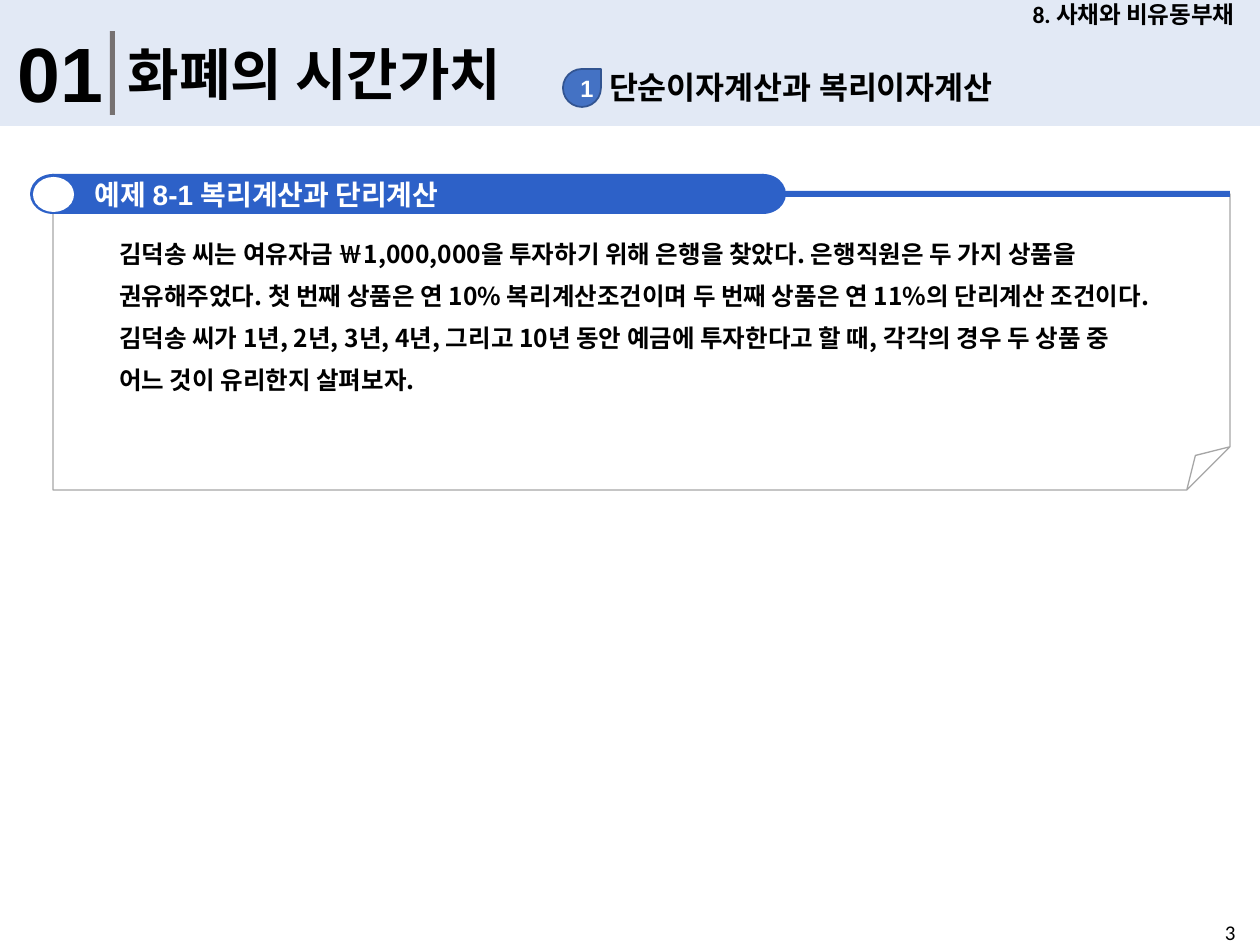
import pptx
import pptx.util
import pptx.dml.color
import pptx.enum.shapes
import pptx.enum.text
import pptx.oxml.ns
from lxml import etree

EMU_PER_PX = 914400 / 126
BLUE = "2D61C8"
KOREAN_FONT = "Noto Sans CJK KR"
SHAPES = pptx.enum.shapes.MSO_SHAPE
ANCHOR = pptx.enum.text.MSO_ANCHOR
ALIGN = pptx.enum.text.PP_ALIGN


def px(value):
    return pptx.util.Emu(round(value * EMU_PER_PX))


def color(value):
    return pptx.dml.color.RGBColor.from_string(value)


def add_box(slide, kind, box, fill=None, line=None, line_width=1, alpha=None):
    shape = slide.shapes.add_shape(kind, *map(px, box))
    shape.shadow.inherit = False
    if fill:
        shape.fill.solid()
        shape.fill.fore_color.rgb = color(fill)
    else:
        shape.fill.background()
    if line:
        shape.line.color.rgb = color(line)
        shape.line.width = pptx.util.Pt(line_width)
    else:
        shape.line.fill.background()
    if alpha:
        tag = pptx.oxml.ns.qn("a:srgbClr")
        fill_color = next(shape._element.spPr.iter(tag))
        etree.SubElement(fill_color, pptx.oxml.ns.qn("a:alpha"), val=str(alpha * 1000))
    return shape


def set_fold(shape, share):
    geometry = shape._element.spPr.find(pptx.oxml.ns.qn("a:prstGeom"))
    guides = geometry.find(pptx.oxml.ns.qn("a:avLst"))
    if guides is None:
        guides = etree.SubElement(geometry, pptx.oxml.ns.qn("a:avLst"))
    etree.SubElement(guides, pptx.oxml.ns.qn("a:gd"), name="adj",
                     fmla=f"val {round(share * 100000)}")


def write_text(shape, *runs, size, fill="000000", bold=True, align=ALIGN.LEFT,
               anchor=ANCHOR.TOP, margins=(13, 6, 13, 6), spacing=None):
    frame = shape.text_frame
    frame.word_wrap = True
    frame.vertical_anchor = anchor
    (frame.margin_left, frame.margin_top,
     frame.margin_right, frame.margin_bottom) = map(px, margins)
    paragraph = frame.paragraphs[0]
    paragraph.alignment = align
    if spacing:
        paragraph.line_spacing = pptx.util.Pt(spacing)
    for text, font_name in runs:
        run = paragraph.add_run()
        run.text = text
        run.font.name = font_name
        run.font.size = pptx.util.Pt(size)
        run.font.bold = bold
        run.font.color.rgb = color(fill)
        east_asian = etree.SubElement(run.font._element, pptx.oxml.ns.qn("a:ea"))
        east_asian.set("typeface", KOREAN_FONT)


def add_label(slide, box, text, font_name="Calibri", **text_format):
    label = slide.shapes.add_textbox(*map(px, box))
    write_text(label, (text, font_name), **text_format)


def add_header(slide):
    add_box(slide, SHAPES.RECTANGLE, (0, 0, 1260, 126), "DAE3F3", alpha=76)
    add_label(slide, (1007, 0, 253, 29), "8. 사채와 비유동부채", size=13.5,
              align=ALIGN.CENTER, anchor=ANCHOR.MIDDLE)
    add_label(slide, (5, 20, 115, 106), "01", "Arial", size=44)
    add_box(slide, SHAPES.RECTANGLE, (110, 31, 5, 84), "767171")
    add_label(slide, (115, 34, 809, 81), "화폐의 시간가치", size=32)
    add_label(slide, (596, 62, 471, 50), "단순이자계산과 복리이자계산", size=18)
    badge = add_box(slide, SHAPES.TEAR, (563, 69, 38, 38), "4472C4", "325491")
    write_text(badge, ("1", "Arial"), size=13.5, fill="FFFFFF",
               align=ALIGN.CENTER, anchor=ANCHOR.MIDDLE, margins=(10, 0, 0, 0))


def add_example(slide):
    note = add_box(slide, SHAPES.FOLDED_CORNER, (53, 194, 1177, 296),
                   line="A6A6A6", line_width=0.75)
    set_fold(note, 0.146)
    add_box(slide, SHAPES.RECTANGLE, (54, 191, 1176, 6), BLUE)
    for left in (30, 740):
        add_box(slide, SHAPES.OVAL, (left, 174, 46, 40), BLUE)
    banner = add_box(slide, SHAPES.RECTANGLE, (52, 174, 712, 40), BLUE)
    write_text(banner, ("예제 ", "Calibri"), ("8-1 ", "Arial"),
               ("복리계산과 단리계산", "Calibri"), size=16, fill="FFFFFF",
               anchor=ANCHOR.MIDDLE, margins=(43, 6, 13, 6))
    add_box(slide, SHAPES.OVAL, (33, 177, 41, 35), "FFFFFF")
    add_label(
        slide, (106, 220, 1067, 215),
        "김덕송 씨는 여유자금 ￦1,000,000을 투자하기 위해 은행을 찾았다. "
        "은행직원은 두 가지 상품을 권유해주었다. 첫 번째 상품은 연 10% "
        "복리계산조건이며 두 번째 상품은 연 11%의 단리계산 조건이다. "
        "김덕송 씨가 1년, 2년, 3년, 4년, 그리고 10년 동안 예금에 투자한다고 할 때, "
        "각각의 경우 두 상품 중 어느 것이 유리한지 살펴보자.",
        KOREAN_FONT, size=14, spacing=24)


def main():
    presentation = pptx.Presentation()
    presentation.slide_width = px(1260)
    presentation.slide_height = px(945)
    slide = presentation.slides.add_slide(presentation.slide_layouts[6])
    add_header(slide)
    add_example(slide)
    add_label(slide, (1212, 914, 48, 31), "3", size=12, bold=False)
    presentation.save("out.pptx")


if __name__ == "__main__":
    main()
